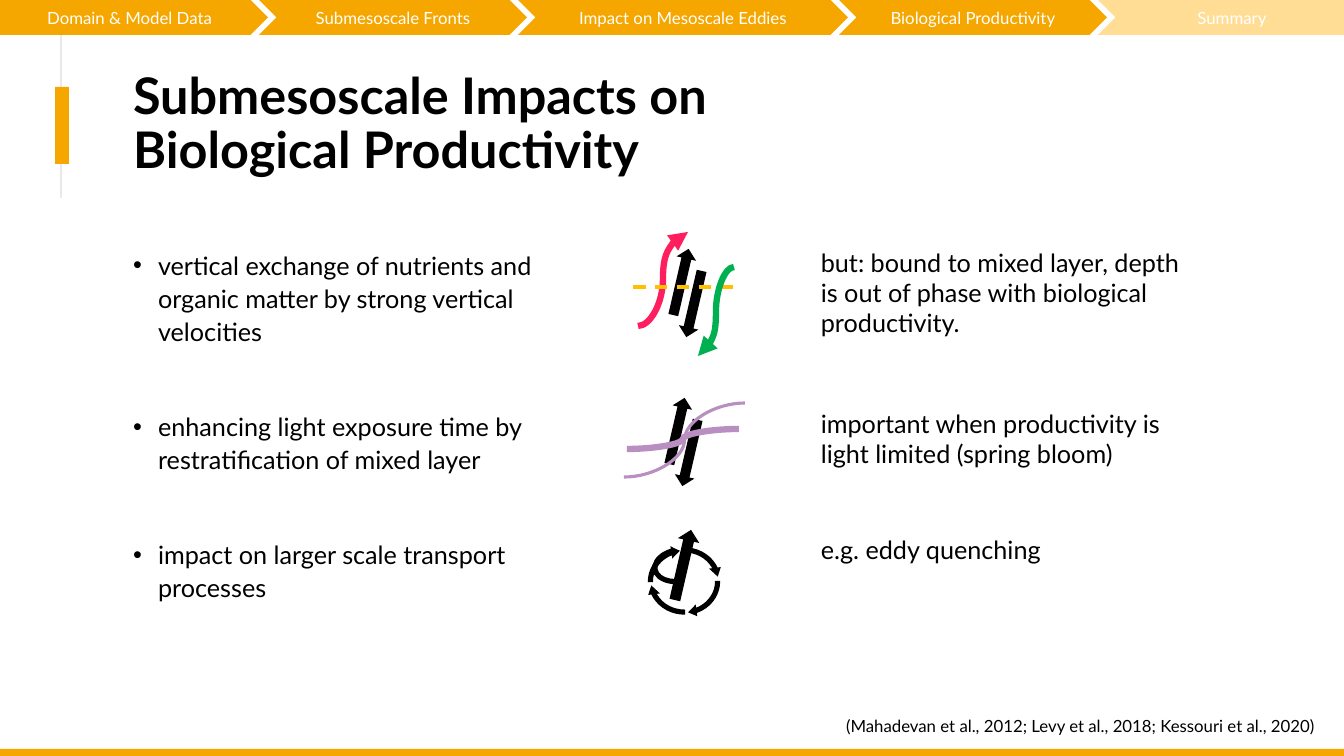
from pptx import Presentation
from pptx.dml.color import RGBColor
from pptx.enum.dml import MSO_LINE
from pptx.enum.shapes import MSO_CONNECTOR, MSO_SHAPE
from pptx.enum.text import MSO_ANCHOR, MSO_AUTO_SIZE, PP_ALIGN
from pptx.oxml.ns import qn
from pptx.util import Emu, Pt
from lxml import etree

EMU_PER_INCH = 914400
PX_PER_INCH = 100.8
WIDTH, HEIGHT = 1344, 756
FONT = "Lato"

BLACK = RGBColor(0x00, 0x00, 0x00)
WHITE = RGBColor(0xFF, 0xFF, 0xFF)
ORANGE = RGBColor(0xF5, 0xA7, 0x00)
PALE_ORANGE = RGBColor(0xFF, 0xDD, 0x95)
GREY = RGBColor(0xE9, 0xE9, 0xE9)
RED = RGBColor(0xFF, 0x1F, 0x5E)
YELLOW = RGBColor(0xFF, 0xC0, 0x00)
GREEN = RGBColor(0x00, 0xB0, 0x50)
PURPLE = RGBColor(0xB8, 0x8F, 0xC0)

RECTANGLE = MSO_SHAPE.RECTANGLE
UP_ARROW = MSO_SHAPE.UP_ARROW
CIRCULAR_ARROW = MSO_SHAPE.CIRCULAR_ARROW
STRAIGHT, CURVE = MSO_CONNECTOR.STRAIGHT, MSO_CONNECTOR.CURVE
LEFT, CENTER, RIGHT = PP_ALIGN.LEFT, PP_ALIGN.CENTER, PP_ALIGN.RIGHT

RING_ADJUSTMENTS = (0.07, 9.49, 201.98, 161.28, 0.08)

SECTIONS = [
    ("Domain & Model Data", 268, ORANGE),
    ("Submesoscale Fronts", 268, ORANGE),
    ("Impact on Mesoscale Eddies", 330, ORANGE),
    ("Biological Productivity", 268, ORANGE),
    ("Summary", 268, PALE_ORANGE),
]
IMPACTS = [
    "vertical exchange of nutrients and organic matter by strong vertical velocities",
    "enhancing light exposure time by restratification of mixed layer",
    "impact on larger scale transport processes",
]
REMARKS = [
    (242, 102, "but: bound to mixed layer, depth is out of phase with biological productivity."),
    (403, 72, "important when productivity is light limited (spring bloom)"),
    (529, 40, "e.g. eddy quenching"),
]
CITATION = "(Mahadevan et al., 2012; Levy et al., 2018; Kessouri et al., 2020)"


def px(length):
    return Emu(round(length * EMU_PER_INCH / PX_PER_INCH))


def add_filled(slide, kind, box, color, rotation=0):
    shape = slide.shapes.add_shape(kind, *map(px, box))
    shape.shadow.inherit = False
    shape.fill.solid()
    shape.fill.fore_color.rgb = color
    shape.line.fill.background()
    shape.rotation = rotation
    return shape


def add_line(slide, kind, start, end, color, points, arrow=False, dash=None):
    connector = slide.shapes.add_connector(kind, *map(px, (*start, *end)))
    connector.line.color.rgb = color
    connector.line.width = Pt(points)
    if dash:
        connector.line.dash_style = dash
    properties = connector._element.spPr
    if arrow:
        etree.SubElement(properties.find(qn("a:ln")), qn("a:tailEnd"), type="triangle")
    etree.SubElement(properties, qn("a:effectLst"))


def format_paragraph(paragraph, size, color=BLACK, alignment=LEFT, bold=False):
    paragraph.alignment = alignment
    for run in paragraph.runs:
        run.font.name = FONT
        run.font.size = Pt(size)
        run.font.bold = bold
        run.font.color.rgb = color


def place(shape, box):
    shape.left, shape.top, shape.width, shape.height = map(px, box)


def add_note(slide, box, text, size, alignment=LEFT):
    text_frame = slide.shapes.add_textbox(*map(px, box)).text_frame
    text_frame.word_wrap = True
    text_frame.text = text
    format_paragraph(text_frame.paragraphs[0], size, alignment=alignment)


def add_navigation(slide, left, top, height, overlap=9):
    for index, (name, width, color) in enumerate(SECTIONS):
        kind = MSO_SHAPE.CHEVRON if index else MSO_SHAPE.PENTAGON
        step = add_filled(slide, kind, (left, top, width, height), color)
        step.text_frame.text = name
        step.text_frame.vertical_anchor = MSO_ANCHOR.MIDDLE
        format_paragraph(step.text_frame.paragraphs[0], 12, WHITE, CENTER)
        left += width - overlap


def add_title(slide, box):
    title = slide.shapes.title
    place(title, box)
    text_frame = title.text_frame
    text_frame.text = "Submesoscale Impacts on\vBiological Productivity"
    text_frame.auto_size = MSO_AUTO_SIZE.NONE
    text_frame.vertical_anchor = MSO_ANCHOR.MIDDLE
    paragraph = text_frame.paragraphs[0]
    paragraph.line_spacing = 0.9
    format_paragraph(paragraph, 36, bold=True)


def add_impacts(slide, box):
    body = slide.placeholders[1]
    place(body, box)
    text_frame = body.text_frame
    text_frame.text = "\n".join(IMPACTS)
    text_frame.auto_size = MSO_AUTO_SIZE.NONE
    for index, paragraph in enumerate(text_frame.paragraphs):
        paragraph.line_spacing = 1.1
        paragraph.space_before = Pt(44 if index else 10)
        format_paragraph(paragraph, 18)
        properties = paragraph._p.get_or_add_pPr()
        properties.set("marL", str(px(25)))
        properties.set("indent", str(-px(25)))


def add_opposed_arrows(slide, left, top):
    add_filled(slide, UP_ARROW, (left, top, 20, 68), BLACK, 13)
    add_filled(slide, UP_ARROW, (left + 13, top + 22, 20, 68), BLACK, 193)


def add_exchange_icon(slide, left, top):
    add_opposed_arrows(slide, left + 38, top + 16)
    add_line(slide, CURVE, (left + 5, top + 94), (left + 55, top), RED, 4.5, arrow=True)
    add_line(slide, STRAIGHT, (left, top + 55), (left + 101, top + 55), YELLOW, 2.25,
             dash=MSO_LINE.DASH)
    add_line(slide, CURVE, (left + 101, top + 35), (left + 65, top + 124), GREEN, 4.5, arrow=True)


def add_restratification_icon(slide, left, top):
    add_opposed_arrows(slide, left + 43, top)
    add_line(slide, CURVE, (left + 121, top + 6), (left, top + 80), PURPLE, 2.25)
    add_line(slide, CURVE, (left + 115, top + 32), (left + 3, top + 52), PURPLE, 4.5)


def add_eddy_icon(slide, left, top):
    upright = (left, top + 15, 79, 74)
    sideways = (left + 2, top + 13, 74, 79)
    for quarter in range(4):
        box = sideways if quarter % 2 else upright
        arc = add_filled(slide, CIRCULAR_ARROW, box, BLACK, 90 * quarter)
        for index, value in enumerate(RING_ADJUSTMENTS):
            arc.adjustments[index] = value
    add_filled(slide, UP_ARROW, (left + 27, top, 22, 72), BLACK, 13)
    add_filled(slide, CIRCULAR_ARROW, (left + 13, top + 7, 42, 59), BLACK, 261)


def add_impacts_slide(presentation):
    slide = presentation.slides.add_slide(presentation.slide_layouts[1])
    add_line(slide, STRAIGHT, (61, 0), (61, 198), GREY, 0.75)
    add_filled(slide, RECTANGLE, (55, 87, 14, 77), ORANGE)
    add_title(slide, (123, 60, 1121, 130))
    add_impacts(slide, (123, 242, 423, 407))
    add_exchange_icon(slide, 633, 232)
    add_restratification_icon(slide, 624, 397)
    add_eddy_icon(slide, 645, 529)
    for top, height, text in REMARKS:
        add_note(slide, (811, top, 379, height), text, 18)
    add_note(slide, (705, 711, 620, 31), CITATION, 12, RIGHT)
    add_navigation(slide, 0, 0, 35)
    add_filled(slide, RECTANGLE, (0, HEIGHT - 7, WIDTH, 7), ORANGE)


def main():
    presentation = Presentation()
    presentation.slide_width, presentation.slide_height = px(WIDTH), px(HEIGHT)
    add_impacts_slide(presentation)
    presentation.save("out.pptx")


if __name__ == "__main__":
    main()
